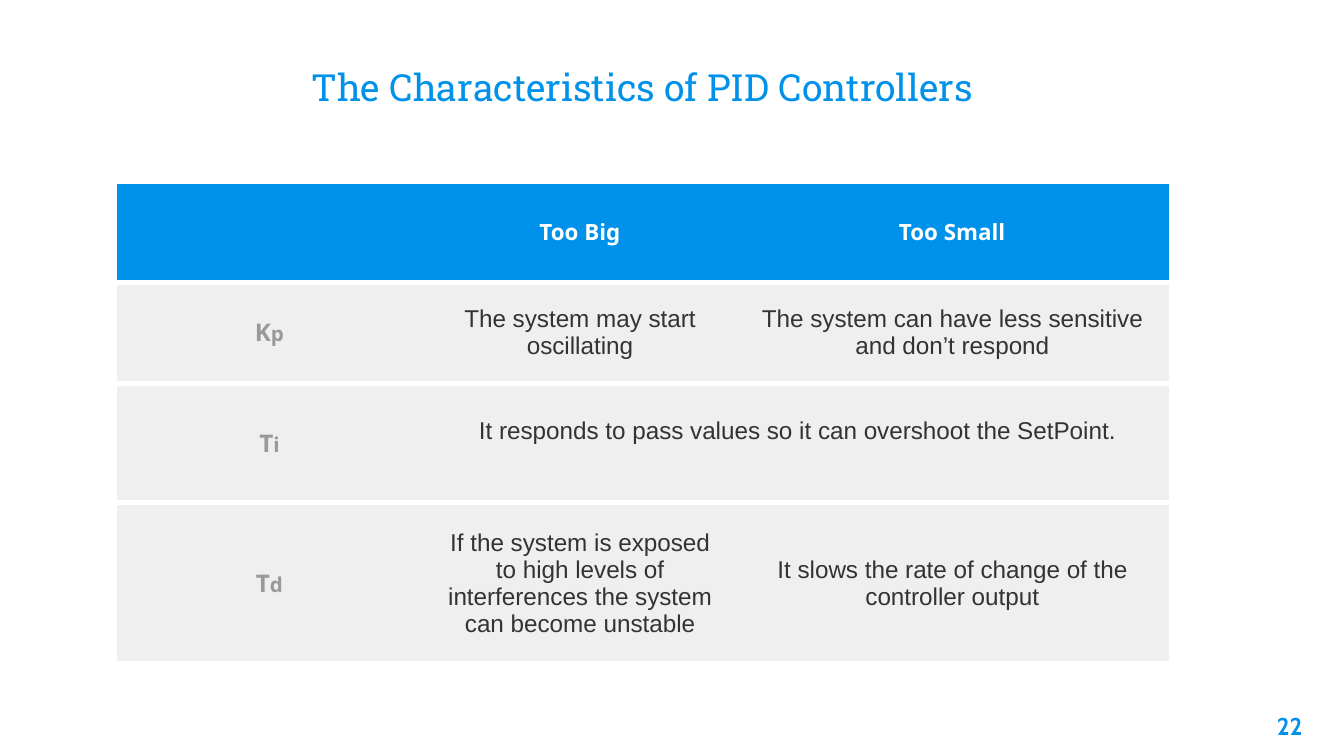
from lxml import etree
from pptx import Presentation
from pptx.dml.color import RGBColor
from pptx.enum.text import MSO_ANCHOR as Anchor, PP_ALIGN as Align
from pptx.oxml.ns import qn
from pptx.util import Inches, Pt

BLUE = RGBColor(0x00, 0x91, 0xEA)
WHITE = RGBColor(0xFF, 0xFF, 0xFF)
PALE = RGBColor(0xEF, 0xEF, 0xEF)
GRAY = RGBColor(0x99, 0x99, 0x99)
DARK = RGBColor(0x33, 0x33, 0x33)

COL_WIDTHS = [2.31, 2.31, 3.23]
ROW_HEIGHTS = [0.75, 0.75, 0.89, 1.2]
HEADERS = ["Too Big", "Too Small"]
# Symbol, its suffix, and the effects (a single effect spans both columns)
PARAMETERS = [
    ("K", "p", ["The system may start oscillating",
                "The system can have less sensitive and don’t respond"]),
    ("T", "i", ["It responds to pass values so it can overshoot the SetPoint."]),
    ("T", "d", ["If the system is exposed to high levels of interferences "
                "the system can become unstable",
                "It slows the rate of change of the controller output"]),
]


def add_run(p, text, size, font, color, bold=False):
    r = p.add_run()
    r.text = text
    r.font.size = Pt(size)
    r.font.name = font
    r.font.bold = bold
    r.font.color.rgb = color


def add_text(slide, box, text, size, font, color, align, anchor, bold=False):
    tf = slide.shapes.add_textbox(*[Inches(v) for v in box]).text_frame
    tf.word_wrap = True
    tf.vertical_anchor = anchor
    tf.margin_left = tf.margin_right = Inches(0.1)
    tf.margin_top = tf.margin_bottom = Inches(0.1)
    p = tf.paragraphs[0]
    p.alignment = align
    add_run(p, text, size, font, color, bold)


def set_borders(cell, white_sides):
    """White rules on the given sides, none on the others."""
    tc_pr = cell._tc.get_or_add_tcPr()
    for side in "LRTB":
        ln = etree.SubElement(tc_pr, qn(f"a:ln{side}"))
        if side in white_sides:
            ln.set("w", str(Pt(3)))
            fill = etree.SubElement(ln, qn("a:solidFill"))
            etree.SubElement(fill, qn("a:srgbClr"), val=str(WHITE))
        else:
            etree.SubElement(ln, qn("a:noFill"))


def style_cell(cell, color, white_sides):
    set_borders(cell, white_sides)
    cell.fill.solid()
    cell.fill.fore_color.rgb = color
    cell.vertical_anchor = Anchor.MIDDLE
    cell.margin_left = cell.margin_right = Inches(0.1)
    cell.margin_top = cell.margin_bottom = Inches(0.07)
    cell.text_frame.paragraphs[0].alignment = Align.CENTER


def add_effects_table(slide):
    table = slide.shapes.add_table(
        len(ROW_HEIGHTS), len(COL_WIDTHS), Inches(0.85), Inches(1.35),
        Inches(sum(COL_WIDTHS)), Inches(sum(ROW_HEIGHTS))).table
    for column, width in zip(table.columns, COL_WIDTHS):
        column.width = Inches(width)
    for i, (row, height) in enumerate(zip(table.rows, ROW_HEIGHTS)):
        row.height = Inches(height)
        for j, cell in enumerate(row.cells):
            style_cell(cell, PALE if i else BLUE, "TB" if j else "LTB")

    # Header row
    for j, text in enumerate(HEADERS, 1):
        p = table.cell(0, j).text_frame.paragraphs[0]
        add_run(p, text, 12, "Noto Sans", WHITE, True)

    # One row for each parameter
    for i, (symbol, suffix, effects) in enumerate(PARAMETERS, 1):
        p = table.cell(i, 0).text_frame.paragraphs[0]
        add_run(p, symbol, 13, "Noto Sans", GRAY, True)
        add_run(p, suffix, 11, "Noto Sans", GRAY, True)
        for j, text in enumerate(effects, 1):
            p = table.cell(i, j).text_frame.paragraphs[0]
            add_run(p, text, 13, "Arial", DARK)
        if len(effects) == 1:
            table.cell(i, 1).merge(table.cell(i, 2))
            table.cell(i, 1).margin_bottom = Inches(0.25)


def main():
    prs = Presentation()
    # 16:9 page
    prs.slide_width = Inches(10)
    prs.slide_height = Inches(10 * 9 / 16)
    s = prs.slides.add_slide(prs.slide_layouts[6])

    # Title
    add_text(s, (1.02, 0.14, 7.52, 0.77), "The Characteristics of PID Controllers",
             20, "Roboto Slab", BLUE, Align.CENTER, Anchor.BOTTOM)
    # Table of effects
    add_effects_table(s)
    # Page number
    add_text(s, (9.19, 5.19, 0.6, 0.43), "22",
             13, "Cabin", BLUE, Align.RIGHT, Anchor.TOP, True)

    prs.save("out.pptx")


if __name__ == "__main__":
    main()
